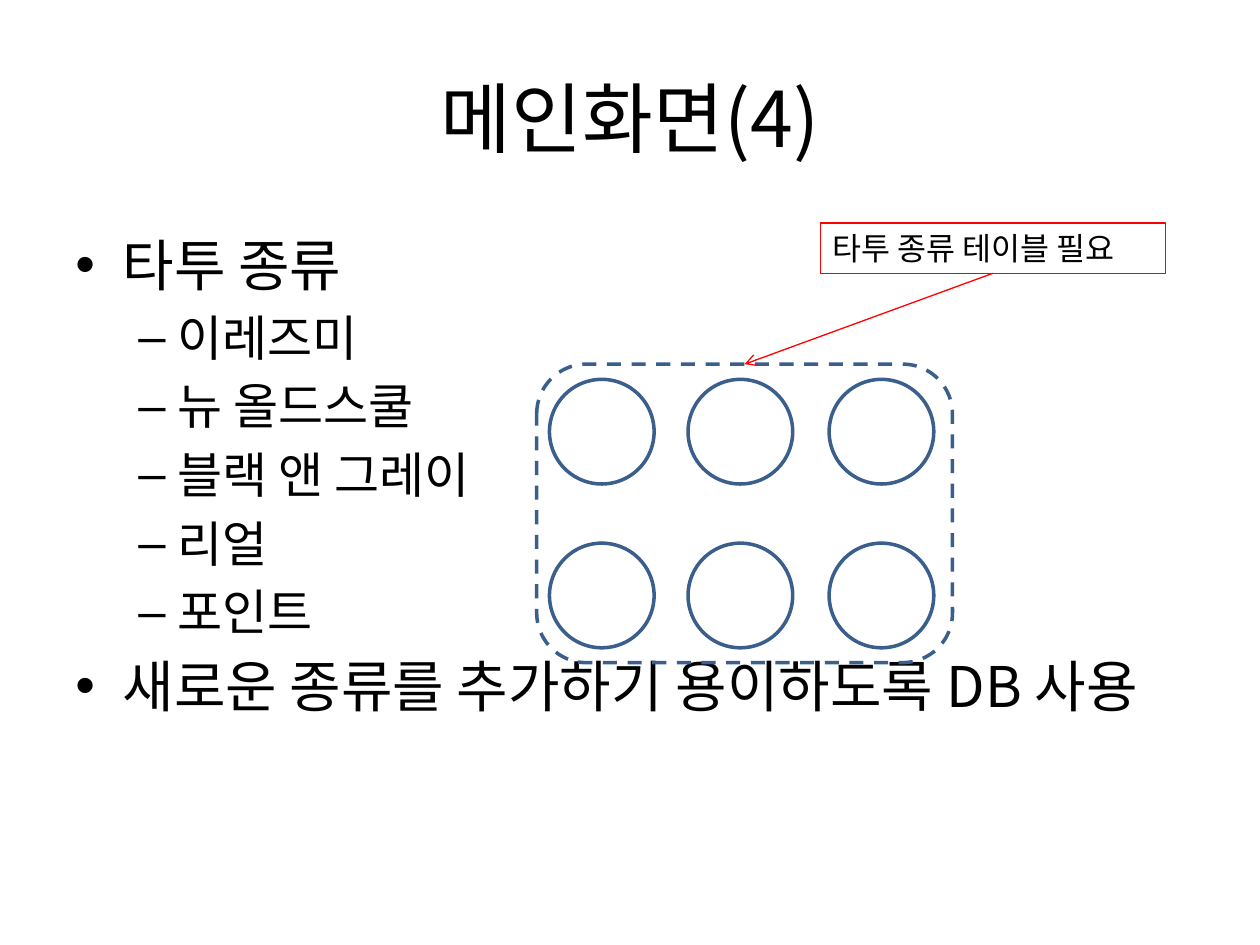
from itertools import product

from lxml.etree import SubElement
from pptx import Presentation
from pptx.dml.color import RGBColor
from pptx.enum.dml import MSO_LINE
from pptx.enum.shapes import MSO_CONNECTOR, MSO_SHAPE
from pptx.enum.text import MSO_ANCHOR as Anchor, PP_ALIGN as Align
from pptx.oxml.ns import qn
from pptx.util import Pt

BLACK = RGBColor(0x00, 0x00, 0x00)
BLUE = RGBColor(0x3A, 0x5F, 0x8C)
RED = RGBColor(0xFF, 0x00, 0x00)

# Outline entries: level and text
TATTOO_OUTLINE = [
    (0, "타투 종류"),
    (1, "이레즈미"),
    (1, "뉴 올드스쿨"),
    (1, "블랙 앤 그레이"),
    (1, "리얼"),
    (1, "포인트"),
    (0, "새로운 종류를 추가하기 용이하도록 DB 사용"),
]
# Outline levels: font size, left margin, hanging indent, bullet
LEVELS = [(32, 27, 27, "•"), (28, 58.5, 22.5, "–")]

CIRCLE_SIZE = 59.8
CIRCLE_COLUMNS = (314, 393.2, 473.8)
CIRCLE_ROWS = (216.8, 310.4)


class SlideBuilder:
    """Holds the text style and the slide being built."""

    font_name = "Noto Sans CJK KR"

    def __init__(self, slide):
        """Start working on a slide."""
        self.slide = slide

    def style(self, paragraph, size):
        """Set the font of a paragraph and return its font element."""
        font = paragraph.font
        font.name = self.font_name
        font.size = Pt(size)
        font.color.rgb = BLACK
        properties = paragraph._p.pPr.find(qn("a:defRPr"))
        SubElement(properties, qn("a:ea"), typeface=self.font_name)
        return properties

    def text_box(self, left, top, width, height, anchor=Anchor.TOP):
        """Add an empty wrapping text box and return its text frame."""
        box = self.slide.shapes.add_textbox(Pt(left), Pt(top), Pt(width), Pt(height))
        frame = box.text_frame
        frame.word_wrap = True
        frame.vertical_anchor = anchor
        return frame

    def title(self, text, left, top, width, height):
        """Add the centred title."""
        paragraph = self.text_box(left, top, width, height, Anchor.MIDDLE).paragraphs[0]
        paragraph.text = text
        paragraph.alignment = Align.CENTER
        self.style(paragraph, 44)

    def outline(self, entries, left, top, width, height):
        """Add a bulleted outline with two levels."""
        frame = self.text_box(left, top, width, height)
        frame.margin_top = Pt(5.6)
        for index, (level, text) in enumerate(entries):
            paragraph = frame.add_paragraph() if index else frame.paragraphs[0]
            size, margin, hanging, bullet = LEVELS[level]
            paragraph.text = text
            paragraph.level = level
            paragraph.line_spacing = Pt(round(size * 1.2, 1))
            paragraph.space_before = Pt(round(size * 0.2, 1)) if index else Pt(0)
            font_element = self.style(paragraph, size)
            properties = paragraph._p.pPr
            properties.set("marL", str(Pt(margin)))
            properties.set("indent", str(-Pt(hanging)))
            typeface = SubElement(properties, qn("a:buFont"), typeface="Arial")
            character = SubElement(properties, qn("a:buChar"), char=bullet)
            font_element.addprevious(typeface)
            font_element.addprevious(character)

    def outlined_shape(self, kind, left, top, width, height, color, weight, dash=None):
        """Add an unfilled preset shape."""
        shape = self.slide.shapes.add_shape(
            kind, Pt(left), Pt(top), Pt(width), Pt(height))
        shape.shadow.inherit = False
        shape.fill.background()
        shape.line.color.rgb = color
        shape.line.width = Pt(weight)
        if dash:
            shape.line.dash_style = dash
        return shape

    def callout(self, text, left, top, width, height):
        """Add a red note box with one line of text."""
        shape = self.outlined_shape(
            MSO_SHAPE.RECTANGLE, left, top, width, height, RED, 0.75)
        frame = shape.text_frame
        frame.word_wrap = False
        frame.vertical_anchor = Anchor.MIDDLE
        paragraph = frame.paragraphs[0]
        paragraph.text = text
        paragraph.alignment = Align.LEFT
        self.style(paragraph, 18)
        return shape

    def arrow(self, source, target):
        """Connect the bottom of one shape to the top of another."""
        connector = self.slide.shapes.add_connector(MSO_CONNECTOR.STRAIGHT, 0, 0, 0, 0)
        connector.begin_connect(source, 2)
        connector.end_connect(target, 0)
        connector.line.color.rgb = RED
        connector.line.width = Pt(0.75)
        SubElement(connector.line._get_or_add_ln(), qn("a:tailEnd"), type="arrow")
        SubElement(connector._element.spPr, qn("a:effectLst"))


def main():
    """Build the slide and save it."""
    presentation = Presentation()
    presentation.slide_width, presentation.slide_height = Pt(720), Pt(540)
    builder = SlideBuilder(presentation.slides.add_slide(presentation.slide_layouts[6]))

    builder.title("메인화면(4)", 36, 21.6, 648, 90)
    builder.outline(TATTOO_OUTLINE, 36, 126, 648, 356.4)
    for top, left in product(CIRCLE_ROWS, CIRCLE_COLUMNS):
        builder.outlined_shape(
            MSO_SHAPE.OVAL, left, top, CIRCLE_SIZE, CIRCLE_SIZE, BLUE, 2)
    type_frame = builder.outlined_shape(
        MSO_SHAPE.ROUNDED_RECTANGLE, 306.7, 208.1, 237.6, 170.6, BLUE, 2, MSO_LINE.DASH)
    note = builder.callout("타투 종류 테이블 필요", 468.7, 127.4, 197.3, 28.8)
    builder.arrow(note, type_frame)

    presentation.save("out.pptx")


main()
